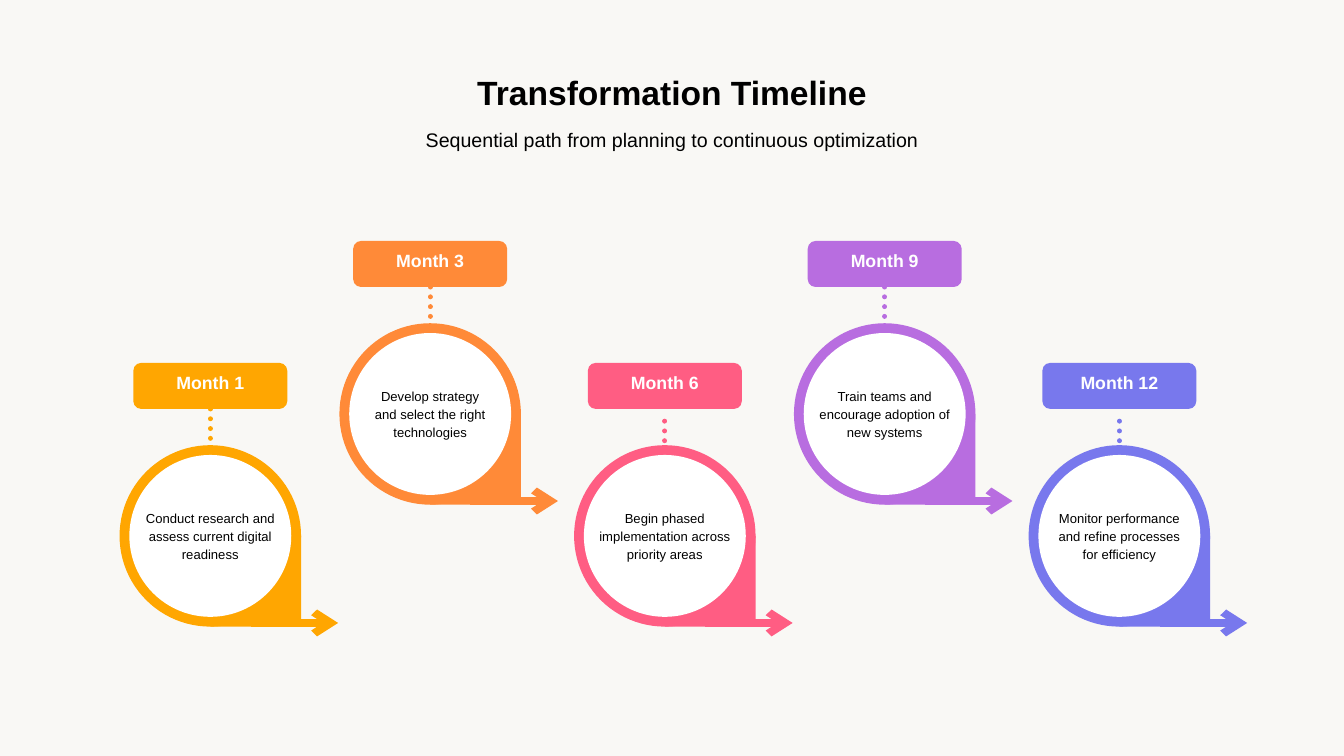
from lxml import etree
from pptx import Presentation
from pptx.dml.color import RGBColor
from pptx.enum import dml, shapes, text
from pptx.oxml import ns
from pptx.util import Cm, Pt

COLORS = {"paper": "F9F8F5", "white": "FFFFFF", "black": "000000",
          "amber": "FFA601", "orange": "FF8A38", "pink": "FF5D83",
          "purple": "B86DE0", "blue": "7878ED"}


def write(frame, words, size, leading, color="black", bold=False,
          insets=(0, 0, 0, 0), anchor=text.MSO_ANCHOR.TOP):
    frame.word_wrap = True
    frame.vertical_anchor = anchor
    (frame.margin_left, frame.margin_top,
     frame.margin_right, frame.margin_bottom) = [Cm(inset) for inset in insets]
    frame.text = words
    for paragraph in frame.paragraphs:
        paragraph.alignment = text.PP_ALIGN.CENTER
        paragraph.line_spacing = Pt(leading)
        paragraph.space_before = Pt(0)
        paragraph.font.name = "Arial"
        paragraph.font.size = Pt(size)
        paragraph.font.bold = bold
        paragraph.font.color.rgb = RGBColor.from_string(COLORS[color])


def add_filled(kind, left, top, width, height, color):
    shape = slide.shapes.add_shape(kind, Cm(left), Cm(top), Cm(width), Cm(height))
    shape.shadow.inherit = False
    shape.fill.solid()
    shape.fill.fore_color.rgb = RGBColor.from_string(COLORS[color])
    shape.line.fill.background()
    return shape


prs = Presentation()
prs.slide_width, prs.slide_height = Cm(50.8), Cm(28.58)
slide = prs.slides.add_slide(prs.slide_layouts[5])
slide.background.fill.solid()
slide.background.fill.fore_color.rgb = RGBColor.from_string(COLORS["paper"])

# Title and subtitle
title = slide.shapes.title
title.left, title.top, title.width, title.height = Cm(7.01), Cm(2.46), Cm(36.78), Cm(1.85)
write(title.text_frame, "Transformation Timeline", 36, 50.4, bold=True)
subtitle = slide.shapes.add_textbox(Cm(7.41), Cm(4.9), Cm(35.98), Cm(0.81))
write(subtitle.text_frame, "Sequential path from planning to continuous optimization", 21, 23.1)

# Milestones alternate between a low and a high row: label, colour, dots' start, task
milestones = [
    ("Month 1", "amber", 4.8, "Conduct research and assess current digital readiness"),
    ("Month 3", "orange", 4.8, "Develop strategy\nand select the right technologies"),
    ("Month 6", "pink", 4.34, "Begin phased implementation across priority areas"),
    ("Month 9", "purple", 4.8, "Train teams and encourage adoption of new systems"),
    ("Month 12", "blue", 4.34, "Monitor performance and refine processes for efficiency"),
]
ROWS = [(7.95, 20.26), (16.26, 15.65)]  # first centre of the low and the high row
PAIR_STEP = 17.18
RADIUS, INNER_RADIUS = 3.43, 3.06
LABEL_WIDTH, LABEL_HEIGHT, LABEL_RISE = 5.82, 1.74, 6.54
TASK_WIDTH = 5.21

for index, (month, color, dots_rise, task) in enumerate(milestones):
    pair, row = divmod(index, 2)
    x, y = ROWS[row][0] + pair * PAIR_STEP, ROWS[row][1]

    # Dotted link to the label and arrow to the next milestone
    dots = slide.shapes.add_connector(
        shapes.MSO_CONNECTOR.STRAIGHT, Cm(x), Cm(y - dots_rise), Cm(x), Cm(y - 3.1))
    arrow = slide.shapes.add_connector(
        shapes.MSO_CONNECTOR.STRAIGHT, Cm(x + 1.52), Cm(y + 3.29), Cm(x + 4.83), Cm(y + 3.29))
    for link, width in ((dots, 5.25), (arrow, 8.25)):
        link.line.color.rgb = RGBColor.from_string(COLORS[color])
        link.line.width = Pt(width)
        etree.SubElement(link._element.spPr, ns.qn("a:effectLst"))
    dots.line.dash_style = dml.MSO_LINE.ROUND_DOT
    dots.line._ln.set("cap", "rnd")
    etree.SubElement(arrow.line._ln, ns.qn("a:tailEnd"), type="arrow")

    # Drop-shaped ring with a white centre
    add_filled(shapes.MSO_SHAPE.OVAL, x - RADIUS, y - RADIUS, 2 * RADIUS, 2 * RADIUS, color)
    add_filled(shapes.MSO_SHAPE.RECTANGLE, x, y, RADIUS, RADIUS, color)
    add_filled(shapes.MSO_SHAPE.OVAL, x - INNER_RADIUS, y - INNER_RADIUS,
               2 * INNER_RADIUS, 2 * INNER_RADIUS, "white")

    # Month label and task
    label = add_filled(shapes.MSO_SHAPE.ROUNDED_RECTANGLE, x - LABEL_WIDTH / 2,
                       y - LABEL_RISE, LABEL_WIDTH, LABEL_HEIGHT, color)
    label.adjustments[0] = 0.17
    write(label.text_frame, month, 19, 26.6, color="white", bold=True,
          insets=(0.15, 0.15, 0.15, 0.52), anchor=text.MSO_ANCHOR.MIDDLE)
    task_box = slide.shapes.add_textbox(
        Cm(x - TASK_WIDTH / 2), Cm(y - 1.07), Cm(TASK_WIDTH), Cm(2.03))
    write(task_box.text_frame, task, 14, 19.6)

prs.save("out.pptx")
